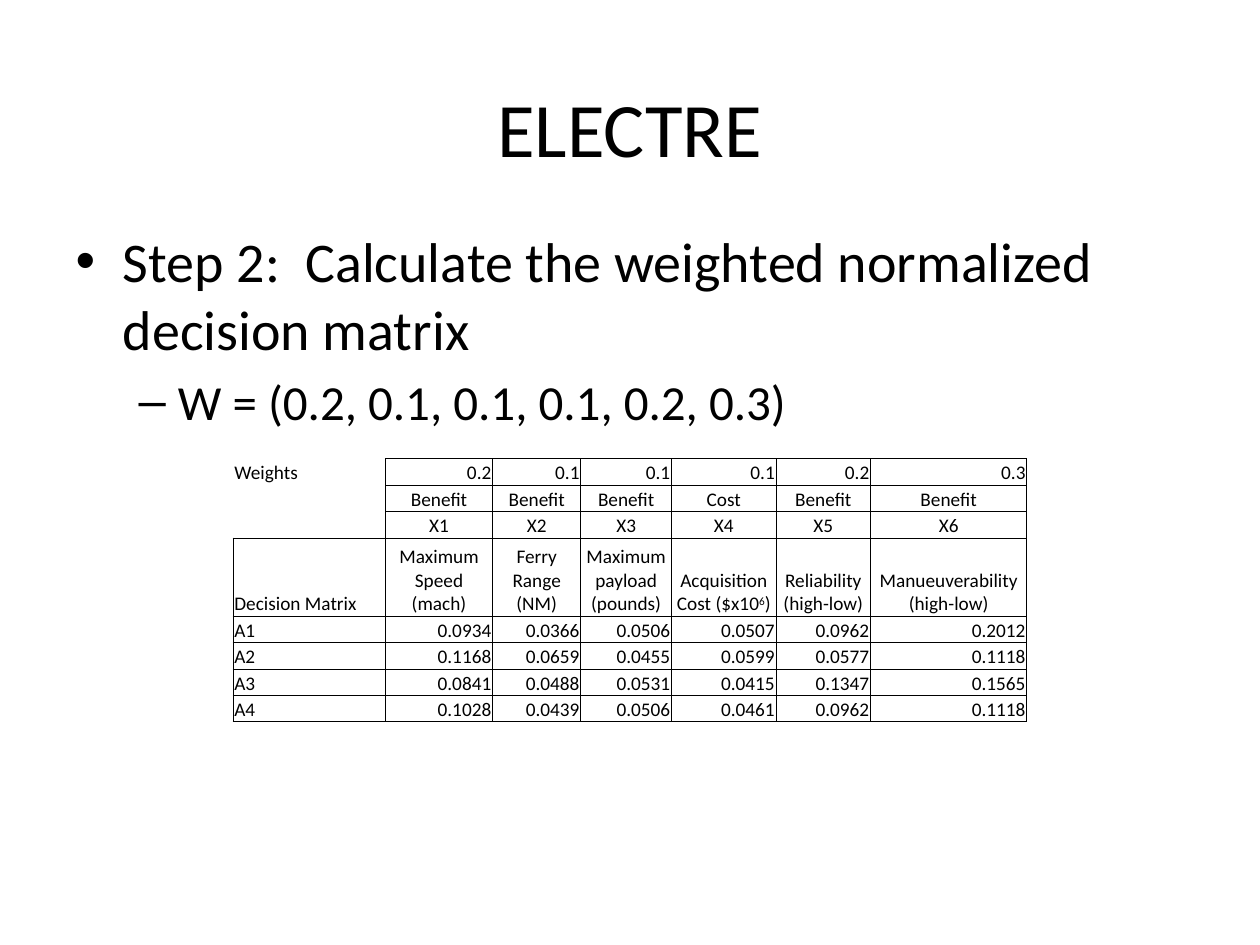
from dataclasses import dataclass

from lxml import etree
from pptx import Presentation
from pptx.dml.color import RGBColor
from pptx.enum.text import MSO_ANCHOR, PP_ALIGN
from pptx.oxml.ns import qn
from pptx.util import Inches, Pt

LEFT, CENTER, RIGHT = PP_ALIGN.LEFT, PP_ALIGN.CENTER, PP_ALIGN.RIGHT
MIDDLE, BOTTOM = MSO_ANCHOR.MIDDLE, MSO_ANCHOR.BOTTOM


@dataclass(frozen=True)
class Theme:
    """Colours, font and type sizes of the slide."""
    ink: str = "000000"
    font: str = "Calibri"
    title: int = 44
    levels: tuple = (32, 28)
    cell: int = 11
    border: float = 0.5


THEME = Theme()
TITLE_BOX = (0.5, 0.38, 9, 1.25)
BODY_BOX = (0.5, 1.75, 9, 4.95)
TABLE_BOX = (1.85, 3.64, 6.3, 2.09)
COLUMN_WIDTHS = (1.21, 0.85, 0.7, 0.72, 0.83, 0.75, 1.24)
ROW_HEIGHT, NAME_ROW_HEIGHT = 0.21, 0.62
NAME_ROW = 3
BULLETS = (
    "Step 2:  Calculate the weighted normalized decision matrix",
    "W = (0.2, 0.1, 0.1, 0.1, 0.2, 0.3)",
)
SUPERSCRIPT_MARK = "^"
MATRIX = (
    ("Weights", "0.2", "0.1", "0.1", "0.1", "0.2", "0.3"),
    ("", "Benefit", "Benefit", "Benefit", "Cost", "Benefit", "Benefit"),
    ("", "X1", "X2", "X3", "X4", "X5", "X6"),
    ("Decision Matrix", "Maximum Speed (mach)", "Ferry Range (NM)",
     "Maximum payload (pounds)", "Acquisition Cost ($x10^6^)",
     "Reliability (high-low)", "Manueuverability (high-low)"),
    ("A1", "0.0934", "0.0366", "0.0506", "0.0507", "0.0962", "0.2012"),
    ("A2", "0.1168", "0.0659", "0.0455", "0.0599", "0.0577", "0.1118"),
    ("A3", "0.0841", "0.0488", "0.0531", "0.0415", "0.1347", "0.1565"),
    ("A4", "0.1028", "0.0439", "0.0506", "0.0461", "0.0962", "0.1118"),
)


def set_all(target, values):
    """Set each named attribute of the target."""
    for name, value in values.items():
        setattr(target, name, value)


def place(shape, box):
    """Move a shape to a box given in inches."""
    set_all(shape, dict(zip(("left", "top", "width", "height"), map(Inches, box))))


def add_text(paragraph, text, size):
    """Add a formatted run to a paragraph."""
    run = paragraph.add_run()
    run.text = text
    set_all(run.font, {"name": THEME.font, "size": Pt(size), "bold": False})
    run.font.color.rgb = RGBColor.from_string(THEME.ink)
    return run


def add_title(slide, box):
    """Fill the title placeholder."""
    title = slide.shapes.title
    place(title, box)
    title.text_frame.vertical_anchor = MIDDLE
    paragraph = title.text_frame.paragraphs[0]
    paragraph.alignment = CENTER
    add_text(paragraph, "ELECTRE", THEME.title)


def add_body(slide, box):
    """Fill the body placeholder with one bullet per level."""
    body = slide.placeholders[1]
    place(body, box)
    frame = body.text_frame
    for level, text in enumerate(BULLETS):
        paragraph = frame.add_paragraph() if level else frame.paragraphs[0]
        paragraph.level = level
        add_text(paragraph, text, THEME.levels[level])


def set_borders(cell, visible):
    """Draw the visible sides of a cell and hide the others."""
    properties = cell._tc.get_or_add_tcPr()
    for side in "LRTB":
        line = etree.SubElement(properties, qn(f"a:ln{side}"), w=str(Pt(THEME.border)))
        if side in visible:
            fill = etree.SubElement(line, qn("a:solidFill"))
            etree.SubElement(fill, qn("a:srgbClr"), val=THEME.ink)
        else:
            etree.SubElement(line, qn("a:noFill"))


def cell_alignment(row, column):
    """Return left for labels, centre for headings and right for numbers."""
    if column == 0:
        return LEFT
    return CENTER if 1 <= row <= NAME_ROW else RIGHT


def visible_sides(row, column):
    """Return the bordered sides, leaving the top left corner open."""
    if column or row >= NAME_ROW:
        return "LRTB"
    return "RB" if row == NAME_ROW - 1 else "R"


def fill_cell(cell, text, alignment, sides):
    """Write and format one table cell."""
    set_all(cell, {"margin_left": Inches(0.01), "margin_right": Inches(0.01),
                   "margin_top": Inches(0.01), "margin_bottom": 0,
                   "vertical_anchor": BOTTOM})
    set_borders(cell, sides)
    cell.fill.background()
    paragraph = cell.text_frame.paragraphs[0]
    paragraph.alignment = alignment
    if not text:
        etree.SubElement(paragraph._p, qn("a:endParaRPr"), sz=str(THEME.cell * 100))
        return
    for index, part in enumerate(text.split(SUPERSCRIPT_MARK)):
        run = add_text(paragraph, part, THEME.cell)
        if index % 2:
            run.font._element.set("baseline", "30000")


def add_matrix(slide, box):
    """Add the weighted normalized decision matrix."""
    frame = slide.shapes.add_table(len(MATRIX), len(COLUMN_WIDTHS), *map(Inches, box))
    table = frame.table
    set_all(table, {"first_row": False, "horz_banding": False})
    for column, width in zip(table.columns, COLUMN_WIDTHS):
        column.width = Inches(width)
    for row, texts in enumerate(MATRIX):
        table.rows[row].height = Inches(NAME_ROW_HEIGHT if row == NAME_ROW else ROW_HEIGHT)
        for column, text in enumerate(texts):
            fill_cell(table.cell(row, column), text,
                      cell_alignment(row, column), visible_sides(row, column))


def main():
    """Build and save the presentation."""
    presentation = Presentation()
    set_all(presentation, {"slide_width": Inches(10), "slide_height": Inches(7.5)})
    slide = presentation.slides.add_slide(presentation.slide_layouts[1])
    add_title(slide, TITLE_BOX)
    add_body(slide, BODY_BOX)
    add_matrix(slide, TABLE_BOX)
    presentation.save("out.pptx")


if __name__ == "__main__":
    main()
